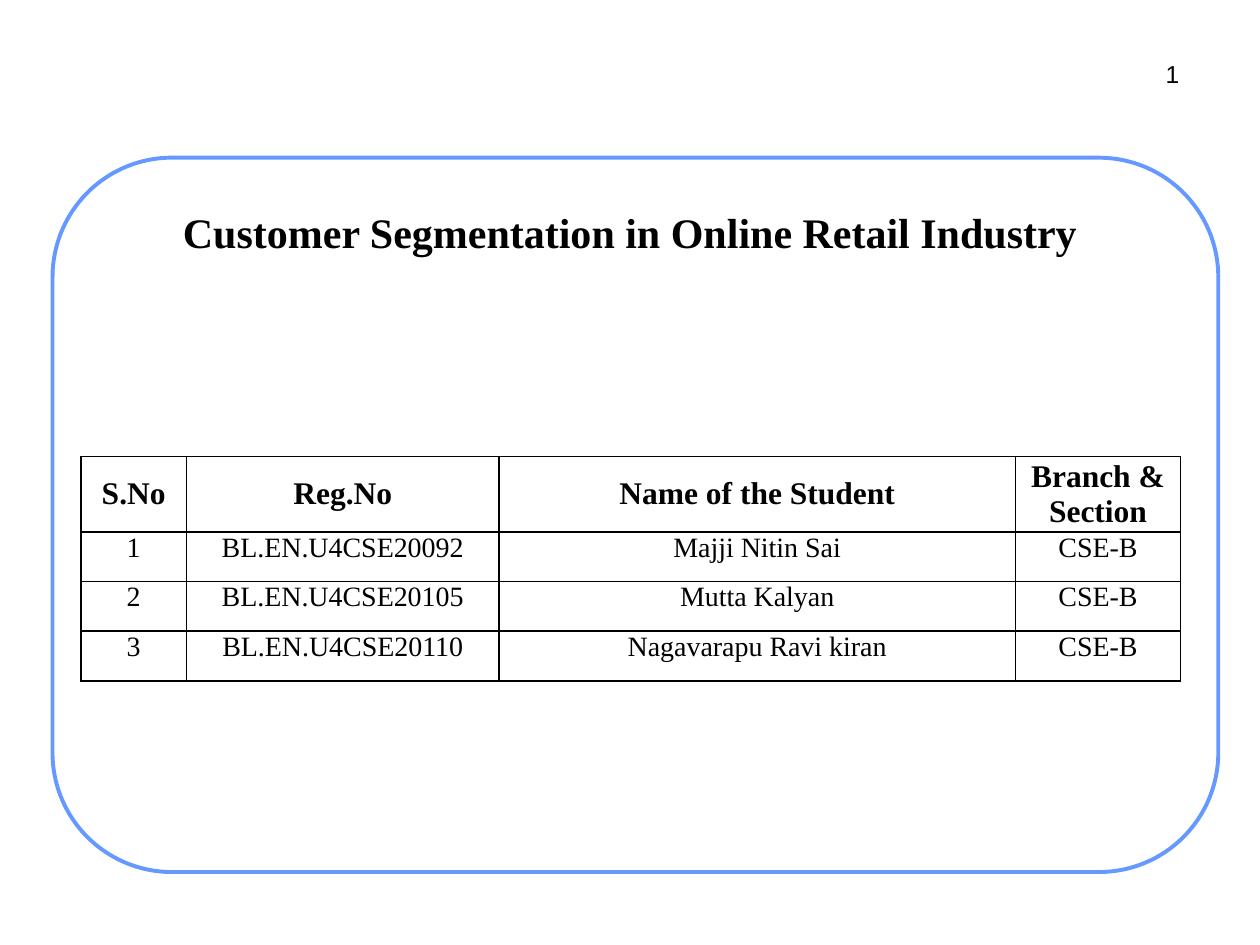
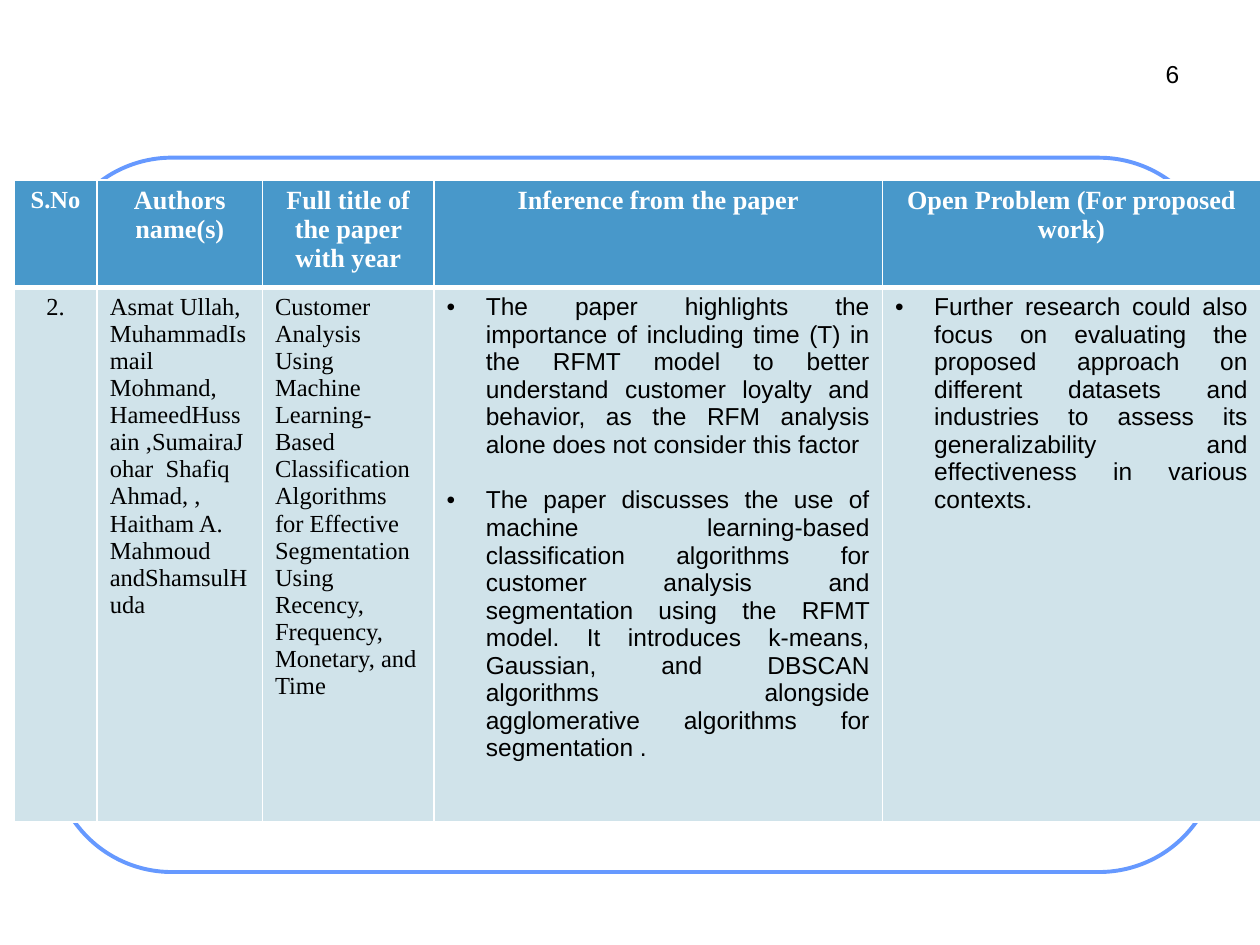
from pptx import Presentation
from pptx.dml.color import RGBColor as RGB
from pptx.enum.shapes import MSO_SHAPE as Shape
from pptx.enum.text import MSO_ANCHOR as Anchor, PP_ALIGN as Align
from pptx.oxml.ns import qn
from pptx.util import Cm, Pt
from lxml.etree import SubElement

TITLE = "Customer Segmentation in Online Retail Industry"

TEAM = [
    ("S.No", "Reg.No", "Name of the Student", "Branch & Section"),
    ("1", "BL.EN.U4CSE20092", "Majji Nitin Sai", "CSE-B"),
    ("2", "BL.EN.U4CSE20105", "Mutta Kalyan", "CSE-B"),
    ("3", "BL.EN.U4CSE20110", "Nagavarapu Ravi kiran", "CSE-B"),
]

# A list inside a row holds bulleted points.
SURVEY = [
    ("S.No", "Authors name(s)", "Full title of the paper with year",
     "Inference from the paper", "Open Problem (For proposed work)"),
    ("2.",
     "Asmat Ullah, MuhammadIsmail Mohmand, HameedHussain ,SumairaJohar  "
     "Shafiq Ahmad, , Haitham A. Mahmoud andShamsulHuda",
     "Customer Analysis Using Machine Learning-Based Classification "
     "Algorithms for Effective Segmentation Using Recency, Frequency, "
     "Monetary, and Time",
     ["The paper highlights the importance of including time (T) in the RFMT "
      "model to better understand customer loyalty and behavior, as the RFM "
      "analysis alone does not consider this factor",
      "The paper discusses the use of machine learning-based classification "
      "algorithms for customer analysis and segmentation using the RFMT "
      "model. It introduces k-means, Gaussian, and DBSCAN algorithms "
      "alongside agglomerative algorithms for segmentation ."],
     ["Further research could also focus on evaluating the proposed approach "
      "on different datasets and industries to assess its generalizability "
      "and effectiveness in various contexts."]),
]


class Theme:
    serif, sans = "Times New Roman", "Arial"
    black, white, frame = "000000", "FFFFFF", "6699FF"
    head, body = "4898CA", "D0E3EA"
    title, team_head, team = 24, 18, 16
    survey_head, survey, number = 15, 14, 14


def write(par, text, size, font=Theme.serif, color=Theme.black, bold=False,
          align=Align.CENTER):
    par.alignment = align
    run = par.add_run()
    run.text = text
    run.font.name, run.font.size, run.font.bold = font, Pt(size), bold
    run.font.color.rgb = RGB.from_string(color)


def add_text(slide, box, text, size, anchor=Anchor.TOP, low=0.13, **look):
    """Add one line of text; low is the bottom inset in cm."""
    frame = slide.shapes.add_textbox(*map(Cm, box)).text_frame
    frame.word_wrap = True
    frame.vertical_anchor = anchor
    frame.margin_left = frame.margin_right = frame.margin_top = Cm(0.13)
    frame.margin_bottom = Cm(low)
    write(frame.paragraphs[0], text, size, **look)


def add_page(deck, number):
    """Add a slide with the rounded frame and its number."""
    slide = deck.slides.add_slide(deck.slide_layouts[6])
    frame = slide.shapes.add_shape(
        Shape.ROUNDED_RECTANGLE, Cm(1.06), Cm(3.18), Cm(23.5), Cm(14.4))
    frame.adjustments[0] = 0.167
    frame.shadow.inherit = False
    frame.fill.solid()
    frame.fill.fore_color.rgb = RGB.from_string(Theme.white)
    frame.line.color.rgb = RGB.from_string(Theme.frame)
    frame.line.width = Pt(2.25)
    add_text(slide, (22.4, 1.07, 1.5, 0.81), number, Theme.number,
             font=Theme.sans, align=Align.RIGHT)
    return slide


def add_grid(slide, left, top, cols, rows):
    table = slide.shapes.add_table(
        len(rows), len(cols), Cm(left), Cm(top),
        Cm(sum(cols)), Cm(sum(rows))).table
    table.first_row = table.horz_banding = False
    for col, width in zip(table.columns, cols):
        col.width = Cm(width)
    for row, height in zip(table.rows, rows):
        row.height = Cm(height)
    return table


def set_edges(cell, color, top=1, bottom=1):
    props = cell._tc.get_or_add_tcPr()
    for side, width in zip("LRTB", (1, 1, top, bottom)):
        line = SubElement(props, qn(f"a:ln{side}"), w=str(Pt(width)))
        fill = SubElement(line, qn("a:solidFill"))
        SubElement(fill, qn("a:srgbClr"), val=color)


def add_points(frame, points):
    for i, point in enumerate(points):
        par = frame.add_paragraph() if i else frame.paragraphs[0]
        if i:
            par.space_before = Pt(16)
        props = par._p.get_or_add_pPr()
        props.set("marL", str(Cm(0.79)))
        props.set("indent", str(-Cm(0.79)))
        SubElement(props, qn("a:buFont"), typeface=Theme.sans)
        SubElement(props, qn("a:buChar"), char="•")
        write(par, point, Theme.survey, Theme.sans, align=Align.JUSTIFY)


def build_team(deck):
    slide = add_page(deck, "1")
    add_text(slide, (2, 3.73, 21.4, 2.5), TITLE, Theme.title,
             Anchor.MIDDLE, low=0.75, bold=True)
    table = add_grid(slide, 1.63, 9.2, (2.13, 6.3, 10.41, 3.33),
                     (1.4, 1, 1, 1))
    for r, row in enumerate(TEAM):
        for c, text in enumerate(row):
            cell, head = table.cell(r, c), r == 0
            set_edges(cell, Theme.black)
            cell.fill.background()
            cell.margin_left = cell.margin_right = 0
            cell.margin_top = cell.margin_bottom = 0
            cell.vertical_anchor = Anchor.MIDDLE if head else Anchor.TOP
            write(cell.text_frame.paragraphs[0], text,
                  Theme.team_head if head else Theme.team, bold=head)


def build_survey(deck):
    slide = add_page(deck, "6")
    table = add_grid(slide, 0.28, 3.63, (1.68, 3.33, 3.46, 9.04, 7.62),
                     (1.98, 10.78))
    for r, row in enumerate(SURVEY):
        for c, text in enumerate(row):
            cell, head = table.cell(r, c), r == 0
            set_edges(cell, Theme.white, *((1, 3) if head else (3, 1)))
            cell.fill.solid()
            cell.fill.fore_color.rgb = RGB.from_string(
                Theme.head if head else Theme.body)
            par = cell.text_frame.paragraphs[0]
            if isinstance(text, list):
                add_points(cell.text_frame, text)
            elif head:
                write(par, text, Theme.survey_head if c else Theme.survey,
                      color=Theme.white, bold=True)
            else:
                write(par, text, Theme.survey,
                      align=Align.LEFT if c else Align.CENTER)


def main():
    deck = Presentation()
    deck.slide_width, deck.slide_height = Cm(25.4), Cm(19.05)
    build_team(deck)
    build_survey(deck)
    deck.save("out.pptx")


if __name__ == "__main__":
    main()
